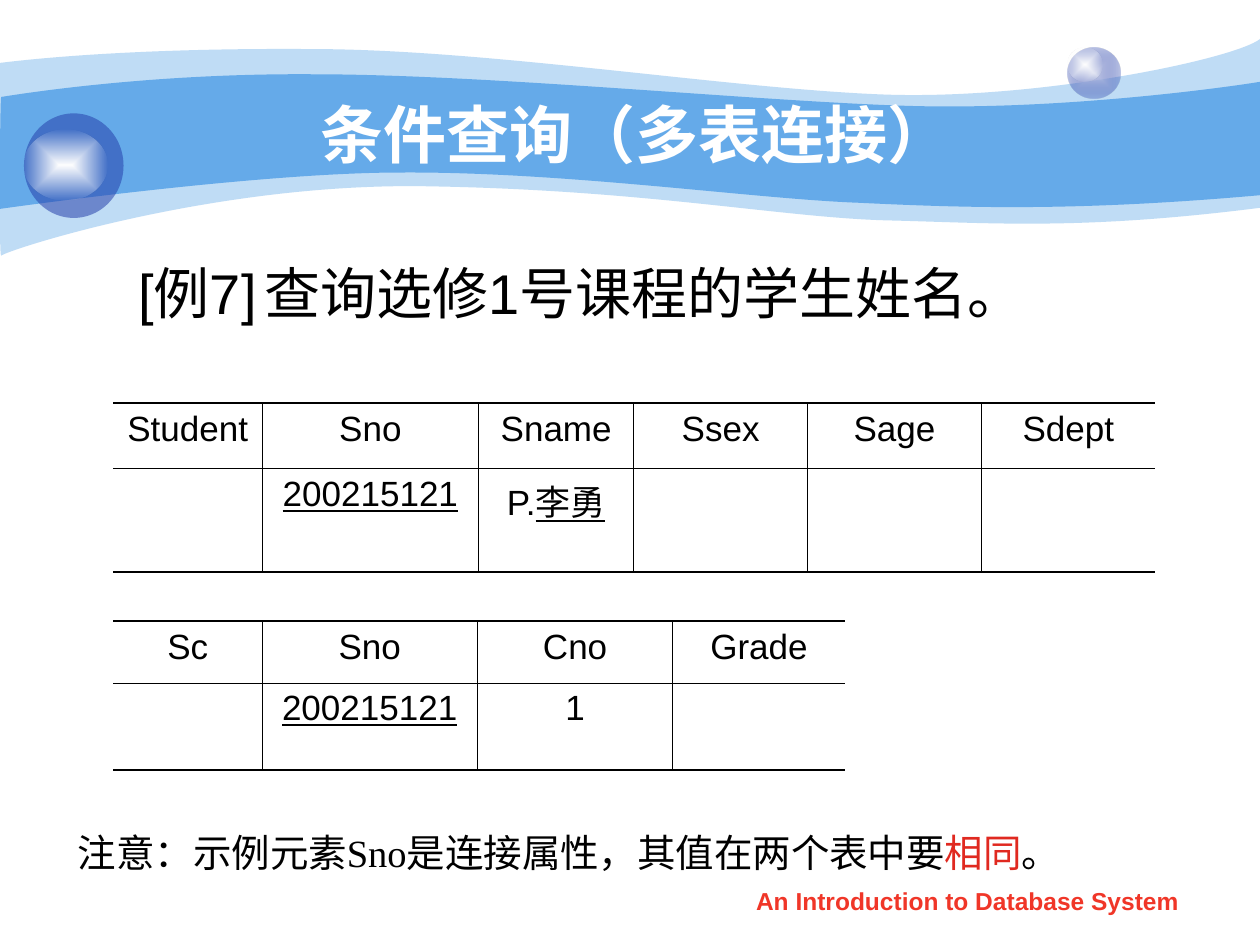
from lxml import etree
from pptx import Presentation
from pptx.dml.color import RGBColor
from pptx.enum.shapes import MSO_SHAPE as Shape
from pptx.enum.text import MSO_ANCHOR as Anchor, PP_ALIGN as Align
from pptx.oxml import parse_xml
from pptx.oxml.ns import nsdecls, qn
from pptx.util import Inches, Pt

BLACK, WHITE, WAVE, BALL = "000000", "FFFFFF", "65AAE9", "233DA9"
THICK, THIN = 1.08, 0.45


def colour(hex_text):
    return RGBColor.from_string(hex_text)


class SlideMaker:
    def __init__(self, slide, font="Arial"):
        self.slide = slide
        self.font = font

    def _plain(self, shape, fill, opacity=100):
        shape.shadow.inherit = False
        shape.line.fill.background()
        shape.fill.solid()
        shape.fill.fore_color.rgb = colour(fill)
        if opacity < 100:
            clr = shape._element.spPr.find(qn("a:solidFill"))[0]
            etree.SubElement(clr, qn("a:alpha")).set("val", str(opacity * 1000))
        return shape

    def wave(self, start, parts, fill, opacity=100):
        """Outline of straight parts (2 numbers) and curves (6 numbers)."""
        points = [pair for part in parts for pair in zip(part[::2], part[1::2])]
        builder = self.slide.shapes.build_freeform(*map(Inches, start))
        builder.add_line_segments([(Inches(x), Inches(y)) for x, y in points])
        shape = self._plain(builder.convert_to_shape(), fill, opacity)
        # Join each curve's three points into one cubic segment
        segments = iter(list(shape._element.iter(qn("a:lnTo"))))
        for part in parts:
            first, *others = [next(segments) for _ in part[::2]]
            if others:
                curve = etree.Element(qn("a:cubicBezTo"))
                first.addprevious(curve)
                for segment in (first, *others):
                    curve.append(segment[0])
                    segment.getparent().remove(segment)

    def ball(self, box, fill, opacity=100):
        oval = self.slide.shapes.add_shape(Shape.OVAL, *map(Inches, box))
        return self._plain(oval, fill, opacity)

    def glow(self, box, centre, edge, edge_opacity):
        """Oval that fades from its centre to its edge."""
        properties = self.ball(box, centre)._element.spPr
        solid = properties.find(qn("a:solidFill"))
        properties.replace(solid, parse_xml(
            f'<a:gradFill {nsdecls("a")} rotWithShape="1"><a:gsLst>'
            f'<a:gs pos="0"><a:srgbClr val="{centre}"/></a:gs>'
            f'<a:gs pos="100000"><a:srgbClr val="{edge}">'
            f'<a:alpha val="{edge_opacity * 1000}"/></a:srgbClr></a:gs></a:gsLst>'
            '<a:path path="rect"><a:fillToRect l="50000" t="50000" r="50000" '
            'b="50000"/></a:path></a:gradFill>'))

    def _runs(self, paragraph, runs, base):
        for words, changes in runs:
            run = paragraph.add_run()
            run.text = words
            style = {"name": self.font, "color": BLACK, **base, **changes}
            run.font.color.rgb = colour(style.pop("color"))
            for name, value in style.items():
                setattr(run.font, name, value)

    def text(self, box, runs, base, align=Align.LEFT, anchor=Anchor.TOP,
             spacing=1.0, indent=0, tab=None):
        frame = self.slide.shapes.add_textbox(*map(Inches, box)).text_frame
        frame.word_wrap = True
        frame.vertical_anchor = anchor
        paragraph = frame.paragraphs[0]
        paragraph.alignment = align
        paragraph.line_spacing = spacing
        properties = paragraph._p.get_or_add_pPr()
        properties.set("indent", str(Inches(indent)))
        if tab:
            stops = etree.SubElement(properties, qn("a:tabLst"))
            etree.SubElement(stops, qn("a:tab"), pos=str(Inches(tab)), algn="l")
        self._runs(paragraph, runs, base)

    def _borders(self, cell, widths):
        properties = cell._tc.get_or_add_tcPr()
        for place, (side, width) in enumerate(widths.items()):
            paint = (f'<a:solidFill><a:srgbClr val="{BLACK}"/></a:solidFill>'
                     if width else "<a:noFill/>")
            properties.insert(place, parse_xml(
                f'<a:ln{side} {nsdecls("a")} w="{Pt(width)}">{paint}</a:ln{side}>'))

    def table(self, left, top, widths, heights, rows, base):
        grid = self.slide.shapes.add_table(
            len(rows), len(widths), Inches(left), Inches(top),
            Inches(sum(widths)), Inches(sum(heights))).table
        grid.first_row = grid.horz_banding = False
        for column, width in zip(grid.columns, widths):
            column.width = Inches(width)
        last_row, last_column = len(rows) - 1, len(widths) - 1
        for r, row in enumerate(rows):
            grid.rows[r].height = Inches(heights[r])
            for c, runs in enumerate(row):
                cell = grid.cell(r, c)
                cell.fill.background()
                self._borders(cell, {
                    "L": THIN if c else 0,
                    "R": THIN if c < last_column else 0,
                    "T": THIN if r else THICK,
                    "B": THIN if r < last_row else THICK})
                paragraph = cell.text_frame.paragraphs[0]
                paragraph.alignment = Align.CENTER
                self._runs(paragraph, runs, base)


def header(*names):
    return [[(name, {})] for name in names]


def main():
    deck = Presentation()
    deck.slide_width, deck.slide_height = Inches(10), Inches(7.5)
    maker = SlideMaker(deck.slides.add_slide(deck.slide_layouts[6]))

    # Banner waves
    maker.wave((0, 0.5), [
        (0.24, 0.47, 1.07, 0.38, 2.47, 0.39), (3.86, 0.39, 5.75, 0.7, 6.99, 0.75),
        (8.22, 0.8, 9.8, 0.47, 10, 0.31), (10, 1.65),
        (8.58, 1.83, 7.87, 1.77, 7.05, 1.75), (6.22, 1.73, 5.15, 1.51, 3.43, 1.48),
        (1.72, 1.44, 0.04, 1.99, 0.01, 2.03), (-0.01, 2.08, 0, 0.75, 0, 0.5),
    ], WAVE, 41)
    maker.wave((0.01, 0.77), [
        (0.02, 0.77, 1.1, 0.58, 2.48, 0.59), (3.86, 0.59, 5.95, 0.8, 7.18, 0.84),
        (8.41, 0.88, 9.76, 0.69, 10, 0.65), (10, 1.55),
        (8.53, 1.68, 7.65, 1.65, 6.82, 1.61), (5.99, 1.58, 4.47, 1.36, 3.17, 1.37),
        (2.03, 1.37, -0.02, 1.66, -0.01, 1.66), (0, 1.66, 0, 0.77, 0.01, 0.77),
    ], WAVE)

    # Banner balls with highlights
    maker.glow((8.47, 0.38, 0.42, 0.4), "C6CCE8", BALL, 31)
    maker.glow((8.47, 0.38, 0.28, 0.27), WHITE, "FEFEFE", 0)
    maker.ball((0.19, 0.9, 0.79, 0.83), BALL, 53)
    maker.glow((0.19, 1.03, 0.66, 0.56), WHITE, "FEFEFE", 0)

    # Title and example
    maker.text((1, 0.75, 8.08, 0.62), [("条件查询（多表连接）", {})],
               {"size": Pt(36), "bold": True, "color": WHITE},
               Align.CENTER, Anchor.MIDDLE)
    maker.text((0.5, 2, 8.67, 1.67), [("[例7]\t查询选修1号课程的学生姓名。", {})],
               {"size": Pt(32)}, indent=0.5, tab=2.02)

    # Query tables
    cell_style = {"size": Pt(20)}
    example_sno = [("200215121", {"underline": True})]
    example_name = [("P.", {}), ("李勇", {"underline": True})]
    maker.table(0.9, 3.2, [1.18, 1.72, 1.23, 1.38, 1.38, 1.38], [0.52, 0.82], [
        header("Student", "Sno", "Sname", "Ssex", "Sage", "Sdept"),
        [[], example_sno, example_name, [], [], []]], cell_style)
    maker.table(0.9, 4.93, [1.18, 1.71, 1.55, 1.37], [0.49, 0.69], [
        header("Sc", "Sno", "Cno", "Grade"),
        [[], example_sno, [("1", {})], []]], cell_style)

    # Note and footer
    maker.text((0.52, 6.46, 8.23, 0.58), [
        ("注意：示例元素Sno是连接属性，其值在两个表中要", {}),
        ("相同", {"color": "E02920"}), ("。", {})],
        {"size": Pt(22), "name": "Times New Roman"}, spacing=1.2)
    maker.text((5.71, 6.98, 3.94, 0.35), [("An Introduction to Database System", {})],
               {"size": Pt(14), "bold": True, "color": "F03628"}, Align.CENTER)

    deck.save("out.pptx")


if __name__ == "__main__":
    main()
